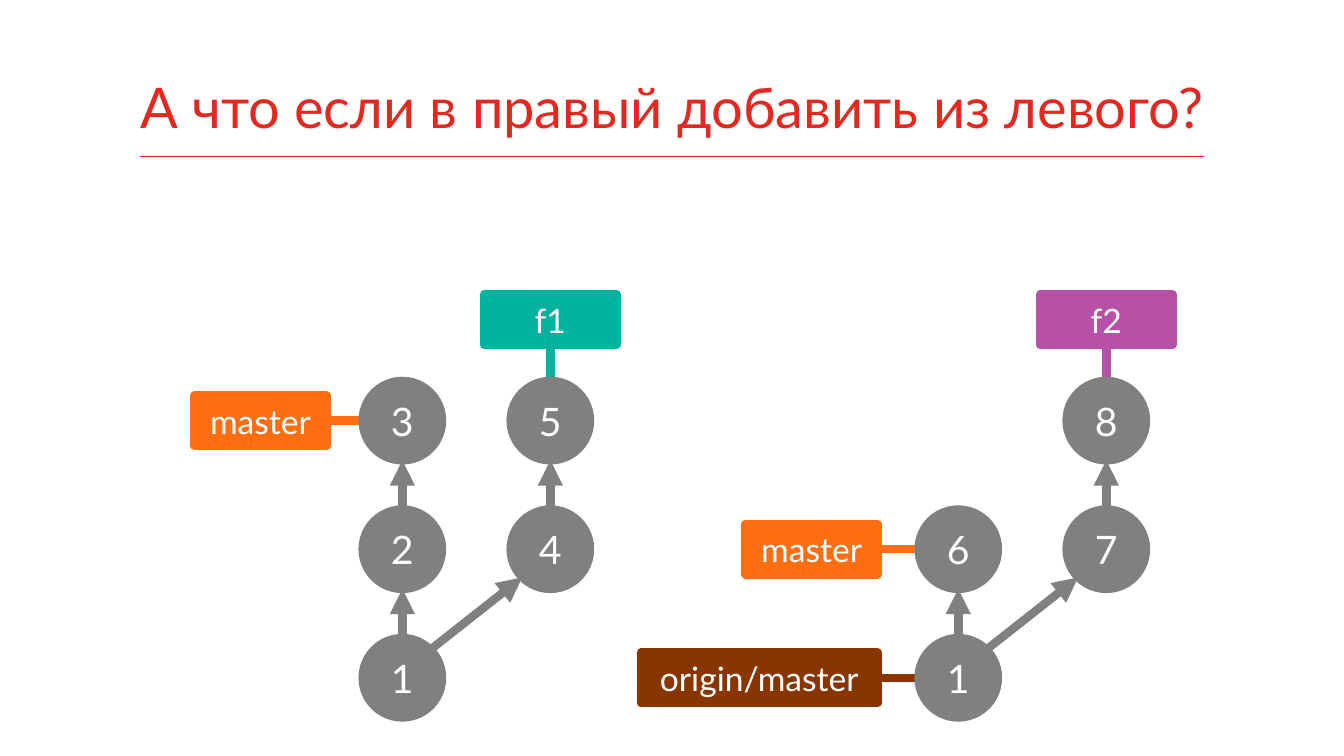
from lxml import etree
from pptx import Presentation
from pptx.dml.color import RGBColor
from pptx.enum.shapes import MSO_CONNECTOR, MSO_SHAPE
from pptx.enum.text import MSO_ANCHOR, PP_ALIGN
from pptx.oxml.ns import qn
from pptx.util import Cm, Pt

LINE = MSO_CONNECTOR.STRAIGHT
OVAL, RECT = MSO_SHAPE.OVAL, MSO_SHAPE.RECTANGLE
MIDDLE, BOTTOM = MSO_ANCHOR.MIDDLE, MSO_ANCHOR.BOTTOM
LEFT, CENTER = PP_ALIGN.LEFT, PP_ALIGN.CENTER
RED, WHITE, GREY = "E52319", "FFFFFF", "808080"
ORANGE, BROWN, TEAL, PURPLE = "FF6E11", "883500", "00B39F", "B651A7"
RADIUS, DIAG = 1, 0.71
STEP_X, STEP_Y = 3.73, 3.24
TAG_W, TAG_H = 3.33, 1.27


def color(code):
    """Turn a hex string into a colour."""
    return RGBColor.from_string(code)


def write(shape, text, size, code, align, **frame):
    """Put one formatted line of text into a shape."""
    box = shape.text_frame
    for name, value in frame.items():
        setattr(box, name, value)
    para = box.paragraphs[0]
    para.text, para.alignment = text, align
    for name, value in {"name": "Lato", "size": Pt(size)}.items():
        setattr(para.font, name, value)
    para.font.color.rgb = color(code)


def link(slide, start, end, code, width=6, arrow=False):
    """Draw a straight line between two points, with or without an arrowhead."""
    line = slide.shapes.add_connector(LINE, *map(Cm, (*start, *end)))
    line.line.color.rgb = color(code)
    line.line.width = Pt(width)
    if arrow:
        etree.SubElement(line.line._ln, qn("a:tailEnd"), type="triangle")
    etree.SubElement(line._element.spPr, qn("a:effectLst"))


def block(slide, kind, mid, width, height, code, text, size):
    """Draw a filled shape with centred text around a middle point."""
    x, y = mid
    shape = slide.shapes.add_shape(
        kind, Cm(x - width / 2), Cm(y - height / 2), Cm(width), Cm(height))
    shape.shadow.inherit = False
    shape.fill.solid()
    shape.fill.fore_color.rgb = color(code)
    shape.line.color.rgb = color(code)
    shape.line.width = Pt(6)
    write(shape, text, size, WHITE, CENTER,
          vertical_anchor=MIDDLE, word_wrap=True)


def header(slide, left, top, width, height, text):
    """Place the title in its box with a thin rule below."""
    base = top + height
    link(slide, (left, base), (left + width, base), RED, 0.75)
    box = slide.shapes.add_textbox(*map(Cm, (left, top, width, height)))
    write(box, text, 40, "E5281F", LEFT, word_wrap=True,
          vertical_anchor=BOTTOM, margin_left=0, margin_right=0,
          margin_top=Cm(0.13), margin_bottom=Cm(0.41))


def graph(slide, left, base, trunk, branch, tags, top, gap):
    """Draw a trunk, a branch from its first commit, and their tags."""
    def spot(col, row):
        return left + col * STEP_X, base - row * STEP_Y

    for row, text, code, width in tags:
        x, y = spot(0, row)
        edge = x - RADIUS - gap
        link(slide, (x - RADIUS, y), (edge, y), code)
        block(slide, RECT, (edge - width / 2, y), width, TAG_H, code, text, 24)

    text, code = top
    x, y = spot(1, len(branch))
    edge = y - RADIUS - 0.91
    link(slide, (x, edge), (x, y - RADIUS), code)
    block(slide, RECT, (x, edge - TAG_H / 2), TAG_W, TAG_H, code, text, 24)

    for col, chain in enumerate((trunk, branch)):
        for row, text in enumerate(chain, col):
            x, y = spot(col, row)
            block(slide, OVAL, (x, y), 2 * RADIUS, 2 * RADIUS, GREY, text, 28)
            if row > col:
                link(slide, (x, y + STEP_Y - RADIUS), (x, y + RADIUS),
                     GREY, arrow=True)

    (x, y), (far, high) = spot(0, 0), spot(1, 1)
    link(slide, (x + DIAG, y - DIAG), (far - DIAG, high + DIAG),
         GREY, arrow=True)


def main():
    """Build the slide and save it."""
    deck = Presentation()
    deck.slide_width, deck.slide_height = Cm(33.87), Cm(19.05)
    slide = deck.slides.add_slide(deck.slide_layouts[6])
    header(slide, 3.54, 0.93, 26.8, 3.01,
           "А что если в правый добавить из левого?")
    graph(slide, 10.14, 17.08, "123", "45",
          [(2, "master", ORANGE, TAG_W)], ("f1", TEAL), 0.91)
    graph(slide, 24.15, 17.08, "16", "78",
          [(1, "master", ORANGE, TAG_W), (0, "origin/master", BROWN, 5.97)],
          ("f2", PURPLE), 1.03)
    deck.save("out.pptx")


if __name__ == "__main__":
    main()
